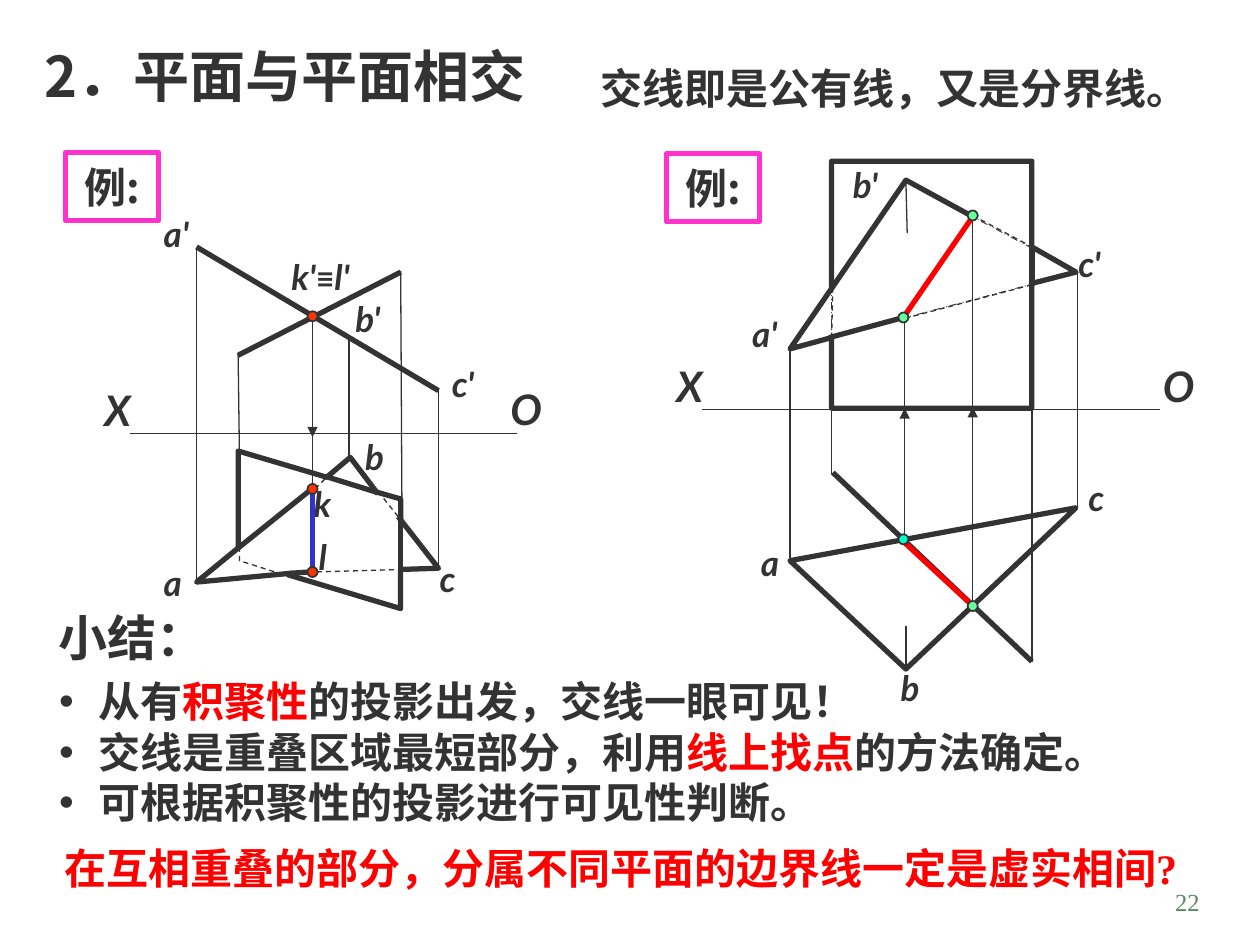
from lxml.etree import SubElement
from pptx import Presentation
from pptx.dml.color import RGBColor
from pptx.enum.dml import MSO_LINE as Dash
from pptx.enum.shapes import MSO_CONNECTOR as Link, MSO_SHAPE as Preset
from pptx.enum.text import MSO_ANCHOR as Anchor, MSO_AUTO_SIZE as Fit, PP_ALIGN as Align
from pptx.oxml.ns import qn
from pptx.util import Pt

PX = 9144  # 100 px to the inch
INK, RED, BLUE, PINK = "333333", "FF0000", "3333CC", "FF33CC"
ORANGE, GREEN, AQUA, WHITE = "FF3300", "66FF99", "00FFCC", "FFFFFF"
SANS, LATIN, SERIF = "Noto Sans CJK SC", "Lato", "Times New Roman"
HEAVY, THIN = {"width": Pt(3)}, {"width": Pt(0.75)}
DASHED = {**THIN, "dash_style": Dash.DASH}
HIDDEN = {"width": Pt(0.5), "dash_style": Dash.DASH_DOT_DOT}
LETTER = {"name": LATIN, "size": Pt(20), "bold": True, "italic": True}
AXIS = {**LETTER, "size": Pt(24)}
CHINESE = {"name": SANS, "size": Pt(24), "bold": True}


def colour(value):
    return RGBColor.from_string(value)


def assign(target, formats):
    for name, value in formats.items():
        setattr(target, name, value)


def scaled(*lengths):
    return [length * PX for length in lengths]


def style_shape(shape, line_format=None, line=INK, fill=None):
    shape.shadow.inherit = False
    if fill:
        shape.fill.solid()
        shape.fill.fore_color.rgb = colour(fill)
    else:
        shape.fill.background()
    if line_format:
        shape.line.color.rgb = colour(line)
        assign(shape.line, line_format)
    else:
        shape.line.fill.background()


def add_span(para, text, font, ink=INK):
    span = para.add_run()
    span.text = text
    assign(span.font, font)
    span.font.color.rgb = colour(ink)
    if font["name"] != LATIN:
        SubElement(span._r.get_or_add_rPr(), qn("a:ea"), typeface=SANS)


def write(box, paras, align=Align.LEFT, anchor=Anchor.MIDDLE, wrap=True):
    """Fill a box with paragraphs, each a list of (text, font, colour) spans."""
    frame = box.text_frame
    assign(frame, {"word_wrap": wrap, "auto_size": Fit.NONE, "vertical_anchor": anchor})
    for index, spans in enumerate(paras):
        para = frame.add_paragraph() if index else frame.paragraphs[0]
        assign(para, {"alignment": align, "space_before": Pt(0)})
        for span in spans:
            add_span(para, *span)


def add_text(page, area, spans, **layout):
    write(page.shapes.add_textbox(*scaled(*area)), [spans], **layout)


def add_panel(page, area, text, font, line_format=None, **layout):
    panel = page.shapes.add_shape(Preset.RECTANGLE, *scaled(*area))
    style_shape(panel, line_format, PINK, WHITE)
    write(panel, [[(text, font)]], **layout)


def fill_placeholder(box, area, paras):
    assign(box, dict(zip(("left", "top", "width", "height"), scaled(*area))))
    write(box, paras)


def add_labels(page, labels, font, height):
    for text, left, top, width, align in labels:
        add_text(page, (left, top, width, height), [(text, font)], align=align)


def add_lines(page, lines, line_format, ink=INK, arrow=False):
    for ends in lines:
        line = page.shapes.add_connector(Link.STRAIGHT, *scaled(*ends))
        line.line.color.rgb = colour(ink)
        assign(line.line, line_format)
        if arrow:
            SubElement(line.line._get_or_add_ln(), qn("a:tailEnd"), type="triangle")
        SubElement(line._element.spPr, qn("a:effectLst"))


def add_outlines(page, outlines, line_format, close=False):
    for start, *rest in outlines:
        builder = page.shapes.build_freeform(*start, scale=PX)
        builder.add_line_segments(rest, close=close)
        style_shape(builder.convert_to_shape(), line_format)


def add_dots(page, corners, fill):
    for left, top in corners:
        dot = page.shapes.add_shape(Preset.FLOWCHART_CONNECTOR, *scaled(left, top, 8, 8))
        style_shape(dot, {"width": Pt(1)}, fill=fill)


def draw_left_example(page):
    # Axis and projection lines
    add_labels(page, [("X", 73, 300, 53, Align.LEFT), ("O", 392, 299, 51, Align.CENTER)], AXIS, 50)
    add_lines(page, [
        (103, 344, 410, 344), (248, 344, 248, 387), (189, 281, 190, 359), (318, 215, 319, 399),
        (156, 198, 156, 461), (348, 309, 348, 451), (277, 267, 277, 362)], THIN)
    add_lines(page, [(248, 252, 248, 347)], THIN, arrow=True)
    # Hidden edges
    add_lines(page, [(250, 388, 260, 378), (300, 390, 320, 415), (320, 452, 249, 454)], DASHED)
    add_outlines(page, [[(190, 434), (190, 445), (231, 458)]], DASHED)
    # Visible edges
    add_outlines(page, [
        [(259, 379), (278, 363), (300, 392)], [(316, 410), (348, 451), (316, 452)],
        [(189, 435), (189, 358), (260, 379)], [(297, 390), (318, 396), (318, 415)],
        [(318, 452), (318, 483), (228, 456)], [(189, 435), (156, 462), (231, 455)]], HEAVY)
    add_lines(page, [
        (318, 216, 189, 282), (156, 196, 348, 310), (258, 378, 300, 391), (318, 414, 318, 453),
        (189, 435, 245, 390), (230, 455, 245, 454)], HEAVY)
    # Point names, intersection line and its points
    add_labels(page, [
        ("k", 239, 378, 40, Align.LEFT), ("l", 243, 420, 28, Align.LEFT),
        ("a'", 107, 164, 66, Align.CENTER), ("b'", 259, 231, 66, Align.CENTER),
        ("c'", 336, 283, 63, Align.CENTER), ("a", 120, 441, 33, Align.CENTER),
        ("b", 280, 341, 33, Align.LEFT), ("c", 339, 438, 42, Align.LEFT)], LETTER, 43)
    sign = {**LETTER, "size": Pt(18), "italic": False}
    add_text(page, (166, 198, 177, 43), [("k'", LETTER), ("≡", sign), ("l'", LETTER)],
             align=Align.CENTER)
    add_lines(page, [(248, 387, 248, 456)], HEAVY, BLUE)
    add_dots(page, [(244, 384), (244, 450), (244, 247)], ORANGE)


def draw_right_example(page):
    # Axis and full outlines of both planes
    add_labels(page, [("X", 527, 281, 40, Align.CENTER), ("O", 913, 281, 38, Align.CENTER)], AXIS, 50)
    add_outlines(page, [
        [(660, 128), (818, 128), (818, 325), (660, 325)],
        [(855, 216), (719, 144), (628, 276)]], HIDDEN, close=True)
    # Projection lines
    add_lines(page, [
        (557, 325, 921, 325), (660, 326, 660, 376), (819, 325, 819, 525), (719, 144, 720, 185),
        (627, 276, 627, 443), (855, 216, 855, 403), (719, 497, 719, 532),
        (718, 325, 718, 253), (772, 325, 772, 172)], THIN)
    add_lines(page, [(718, 427, 718, 324), (772, 481, 772, 323)], THIN, arrow=True)
    # Visible and hidden edges
    add_outlines(page, [
        [(854, 403), (627, 445), (719, 531)],
        [(660, 324), (660, 268), (627, 277), (660, 229), (660, 128), (819, 128),
         (819, 196), (854, 216), (819, 225), (819, 324)]], HEAVY, close=True)
    add_outlines(page, [[(660, 229), (719, 143), (772, 172)]], HEAVY)
    add_lines(page, [
        (661, 375, 819, 525), (819, 195, 819, 227), (717, 252, 658, 268)], HEAVY)
    add_lines(page, [
        (772, 171, 821, 197), (819, 226, 717, 253), (660, 268, 661, 228)], DASHED)
    # Point names, intersection line and its points
    add_labels(page, [
        ("a'", 575, 243, 64, Align.CENTER), ("b'", 667, 125, 59, Align.LEFT),
        ("c'", 846, 188, 57, Align.LEFT), ("a", 594, 425, 33, Align.CENTER),
        ("b", 705, 524, 44, Align.LEFT), ("c", 854, 373, 31, Align.LEFT)], LETTER, 43)
    add_lines(page, [(717, 252, 772, 172), (714, 427, 770, 479)], HEAVY, RED)
    add_dots(page, [(768, 477), (768, 167), (713, 248)], GREEN)
    add_dots(page, [(713, 424)], AQUA)


def write_summary(page):
    add_panel(page, (37, 477, 164, 57), "小结：", {**CHINESE, "size": Pt(28)})
    body = page.placeholders[1]
    fill_placeholder(body, (37, 531, 930, 131), [
        [("从有", CHINESE), ("积聚性", CHINESE, RED), ("的投影出发，交线一眼可见！", CHINESE)],
        [("交线是重叠区域最短部分，利用", CHINESE), ("线上找点", CHINESE, RED),
         ("的方法确定。", CHINESE)],
        [("可根据积聚性的投影进行可见性判断。", CHINESE)]])
    for para in body.text_frame.paragraphs:
        para.line_spacing = Pt(28.8)
        properties = para._p.get_or_add_pPr()
        properties.set("marL", str(31 * PX))
        properties.set("indent", str(-31 * PX))
    add_text(page, (41, 664, 959, 51),
             [("在互相重叠的部分，分属不同平面的边界线一定是虚实相间?", {**CHINESE, "name": SERIF}, RED)],
             anchor=Anchor.TOP)


def main():
    deck = Presentation()
    assign(deck, {"slide_width": 1000 * PX, "slide_height": 750 * PX})
    page = deck.slides.add_slide(deck.slide_layouts[1])
    # Heading row
    fill_placeholder(page.shapes.title, (25, 28, 414, 63),
                     [[("2．平面与平面相交", {**CHINESE, "size": Pt(32)})]])
    add_panel(page, (467, 45, 501, 50), "交线即是公有线，又是分界线。", CHINESE)
    # Two worked examples
    for left, top in ((52, 121), (529, 122)):
        add_panel(page, (left, top, 74, 54), "例:", CHINESE, HEAVY, align=Align.CENTER, wrap=False)
    draw_left_example(page)
    draw_right_example(page)
    # Summary and page number
    write_summary(page)
    add_text(page, (754, 699, 208, 50), [("22", {"name": SERIF, "size": Pt(14)}, "578963")],
             align=Align.RIGHT, anchor=Anchor.TOP)
    deck.save("out.pptx")


if __name__ == "__main__":
    main()
